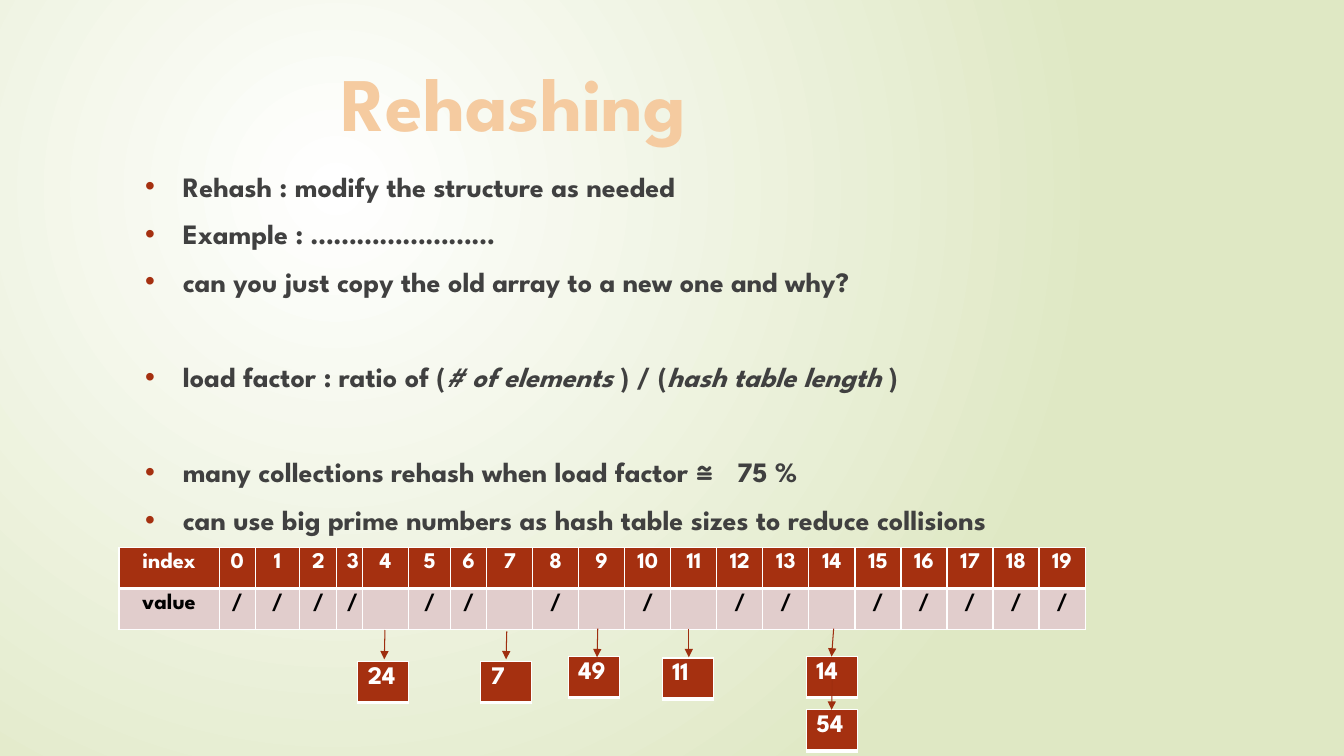
from lxml.etree import SubElement
from pptx import Presentation
from pptx.dml.color import RGBColor
from pptx.enum.shapes import MSO_CONNECTOR as Connector
from pptx.enum.text import MSO_ANCHOR as Anchor, MSO_AUTO_SIZE as AutoSize, PP_ALIGN as Align
from pptx.oxml.ns import qn
from pptx.util import Pt

FONT = "League Spartan"
RUST, DARK_RUST, PINK = "A53010", "9E2E0F", "E1CDCC"
WHITE, BLACK, GREY = "FFFFFF", "000000", "404040"
PEACH, ORANGE = "F5CBA0", "DE7E18"
ROW_HEIGHT = 29.3

# Each bullet: space before, then runs of (text, format)
BULLETS = [
    (10, [("Rehash : modify the structure as needed", {})]),
    (10, [("Example : ……………………", {})]),
    (10, [("can you just copy the old array to a new one and why?", {})]),
    (44, [("load factor : ratio of (", {}), ("# of elements ", {"italic": True}),
          (") / (", {}), ("hash table length ", {"italic": True}), (")", {})]),
    (44, [("many collections rehash when load factor ", {}),
          ("≅ ", {"font": "Courier New"}), (" 75 %", {})]),
    (10, [("can use big prime numbers as hash table sizes to reduce collisions", {})]),
]
OCCUPIED = {4, 7, 9, 11, 14}
COLUMN_WIDTHS = [71.5, 25.8, 31.9, 26.4, 18.3, 33, 30.1, 25.7] + [32.9] * 13
# Each chained value: text, left, top, arrow start, arrow end
CHAINED = [
    ("24", 255.5, 472.5, (275, 450), (274.5, 471)),
    ("7", 343.5, 472.5, (362, 451), (361.5, 471)),
    ("49", 406, 469, (427, 449), (426.5, 469.5)),
    ("11", 473, 470, (492, 449), (492, 469.5)),
    ("14", 576, 469, (595.5, 449), (594, 469)),
    ("54", 576, 507, (594.5, 486), (594, 507)),
]


def rgb(color):
    return RGBColor.from_string(color)


def points(*lengths):
    return [Pt(length) for length in lengths]


def write(paragraph, text, size=20, color=GREY, font=FONT, italic=False, align=None):
    run = paragraph.add_run()
    run.text = text
    run.font.name, run.font.size = font, Pt(size)
    run.font.bold, run.font.italic = True, italic
    run.font.color.rgb = rgb(color)
    if align is not None:
        paragraph.alignment = align
    return run


def add_solid(parent, color):
    fill = SubElement(parent, qn("a:solidFill"))
    SubElement(fill, qn("a:srgbClr"), val=color)


def paint_background(slide):
    fill = slide.background.fill
    fill.gradient()
    for stop, color, position in zip(fill.gradient_stops, (WHITE, "DFE8C4"), (0, 1)):
        stop.color.rgb, stop.position = rgb(color), position
    linear = slide._element.find(".//" + qn("a:lin"))
    gradient = linear.getparent()
    gradient.remove(linear)
    circle = SubElement(gradient, qn("a:path"), path="circle")
    SubElement(circle, qn("a:fillToRect"), l="50000", t="50000", r="100000", b="100000")


def place_title(slide, left, top, width, height):
    title = slide.shapes.title
    title.left, title.top, title.width, title.height = points(left, top, width, height)
    frame = title.text_frame
    frame.auto_size, frame.vertical_anchor = AutoSize.NONE, Anchor.TOP
    run = write(frame.paragraphs[0], "Rehashing", size=54, color=PEACH, align=Align.CENTER)
    properties = run.font._element
    outline = SubElement(properties, qn("a:ln"), w=str(Pt(1.75)))
    add_solid(outline, ORANGE)
    properties.insert(0, outline)


def add_bullets(slide, left, top, width, height):
    frame = slide.shapes.add_textbox(*points(left, top, width, height)).text_frame
    frame.word_wrap = True
    for number, (space, runs) in enumerate(BULLETS):
        paragraph = frame.add_paragraph() if number else frame.paragraphs[0]
        paragraph.space_before = Pt(space)
        properties = paragraph._p.get_or_add_pPr()
        properties.set("marL", str(Pt(27)))
        properties.set("indent", str(Pt(-27)))
        bullet_color = SubElement(properties, qn("a:buClr"))
        SubElement(bullet_color, qn("a:srgbClr"), val=RUST)
        SubElement(properties, qn("a:buFont"), typeface="Arial")
        SubElement(properties, qn("a:buChar"), char="•")
        for text, style in runs:
            write(paragraph, text, **style)


def format_cell(cell, text, fill, bottom=1, **style):
    if text:
        write(cell.text_frame.paragraphs[0], text, **style)
    properties = cell._tc.get_or_add_tcPr()
    for side, weight in (("L", 1), ("R", 1), ("T", 1), ("B", bottom)):
        add_solid(SubElement(properties, qn("a:ln" + side), w=str(Pt(weight))), WHITE)
    cell.fill.solid()
    cell.fill.fore_color.rgb = rgb(fill)


def add_hash_table(slide, left, top):
    rows = [["index"] + [str(index) for index in range(20)],
            ["value"] + ["" if index in OCCUPIED else "/" for index in range(20)]]
    table = slide.shapes.add_table(2, len(COLUMN_WIDTHS), *points(
        left, top, sum(COLUMN_WIDTHS), 2 * ROW_HEIGHT)).table
    for column, width in zip(table.columns, COLUMN_WIDTHS):
        column.width = Pt(width)
    looks = [(RUST, 3, WHITE), (PINK, 1, BLACK)]
    for row, texts, (fill, bottom, color) in zip(table.rows, rows, looks):
        for cell, text in zip(row.cells, texts):
            format_cell(cell, text, fill, bottom, size=16, color=color, align=Align.CENTER)


def add_chained_value(slide, text, left, top, start, end):
    table = slide.shapes.add_table(1, 1, *points(left, top, 36.4, ROW_HEIGHT)).table
    format_cell(table.cell(0, 0), text, RUST, bottom=3, size=18, color=WHITE)
    arrow = slide.shapes.add_connector(Connector.STRAIGHT, *points(*start, *end))
    arrow.line.color.rgb, arrow.line.width = rgb(DARK_RUST), Pt(0.75)
    SubElement(arrow.line._get_or_add_ln(), qn("a:tailEnd"), type="triangle")
    SubElement(arrow._element.spPr, qn("a:effectLst"))


def build_rehashing_slide(deck):
    slide = deck.slides.add_slide(deck.slide_layouts.get_by_name("Title Only"))
    paint_background(slide)
    add_bullets(slide, 96.5, 117.4, 857, 297.4)
    place_title(slide, 203.8, 36, 326, 72.7)
    add_hash_table(slide, 85, 391)
    for chained in CHAINED:
        add_chained_value(slide, *chained)


presentation = Presentation()
presentation.slide_width, presentation.slide_height = points(960, 540)
build_rehashing_slide(presentation)
presentation.save("out.pptx")
